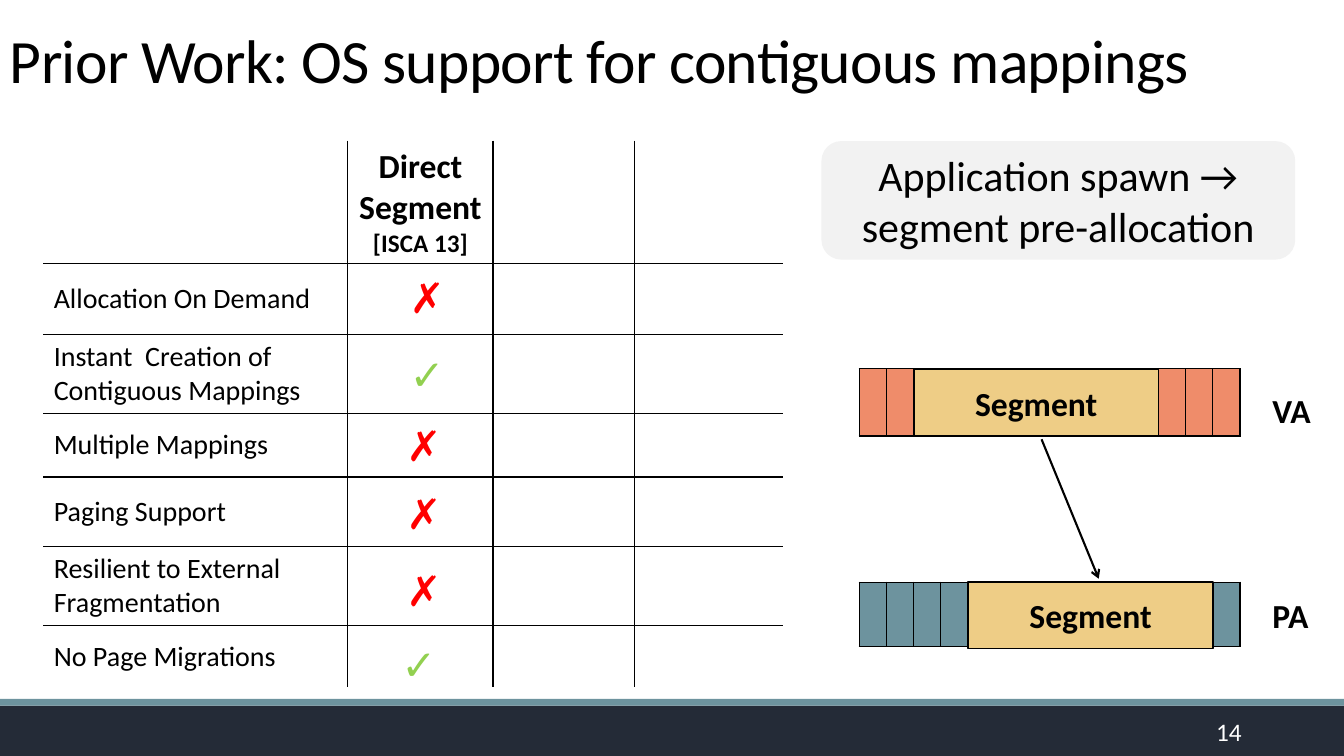
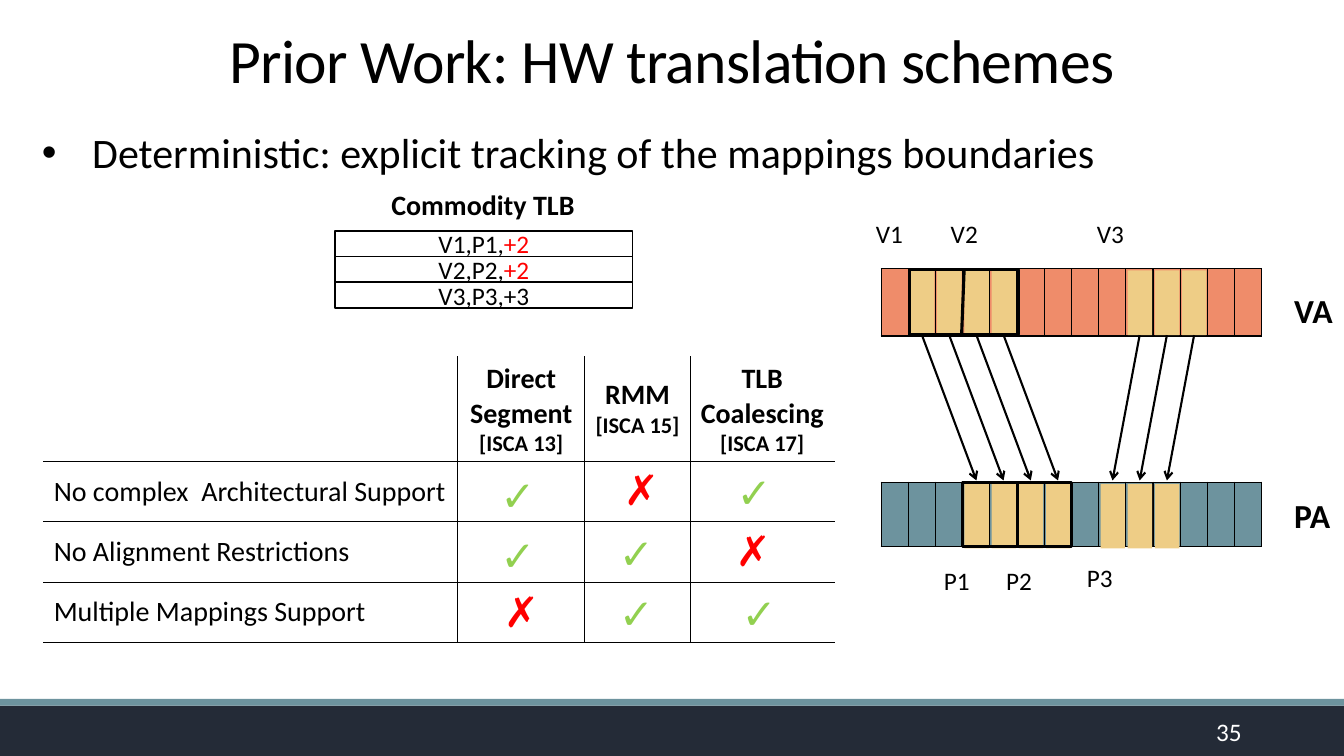
from lxml.etree import SubElement
from pptx import Presentation
from pptx.dml.color import RGBColor
from pptx.enum.shapes import MSO_CONNECTOR, MSO_SHAPE
from pptx.enum.text import MSO_ANCHOR, PP_ALIGN
from pptx.oxml.ns import qn
from pptx.util import Emu, Pt

# Grid: 160 columns by 90 rows cover the slide
COLS, ROWS, UNIT = 160, 90, 76200

BLACK = RGBColor(0x00, 0x00, 0x00)
WHITE = RGBColor(0xFF, 0xFF, 0xFF)
NAVY = RGBColor(0x24, 0x2B, 0x37)
TEAL = RGBColor(0x6D, 0x93, 0x9E)
ORANGE = RGBColor(0xEF, 0x8C, 0x6A)
GOLD = RGBColor(0xEE, 0xCD, 0x86)
GREY = RGBColor(0xF2, 0xF2, 0xF2)
RED = RGBColor(0xFF, 0x00, 0x00)
GREEN = RGBColor(0x92, 0xD0, 0x50)

# Marks: colour and box width
YES, NO = "✓", "✗"
MARKS = {YES: (GREEN, 6.4), NO: (RED, 5.6)}

# Address strips: page cells, heights and distance between the two strips
PAGES, PAGE_W = 14, 3.24
VA_H, PA_H, PA_DROP = 8, 7.7, 25.4


def grid(*lengths):
    return [Emu(round(n * UNIT)) for n in lengths]


# Text
def put_text(tf, paras, align=PP_ALIGN.LEFT, anchor=MSO_ANCHOR.TOP, **fmt):
    """Each paragraph is a string or a list of (text, format) runs."""
    tf.vertical_anchor = anchor
    for i, runs in enumerate(paras):
        p = tf.paragraphs[0] if i == 0 else tf.add_paragraph()
        p.alignment = align
        for text, extra in [(runs, {})] if isinstance(runs, str) else runs:
            for n, line in enumerate(text.split("\n")):
                if n:
                    p.add_line_break()
                if line:
                    add_run(p, line, {**fmt, **extra})


def add_run(p, text, fmt):
    r = p.add_run()
    r.text = text
    look = {"name": "Calibri", "size": 18, "color": BLACK, **fmt}
    r.font.color.rgb = look.pop("color")
    look["size"] = Pt(look["size"])
    for key, value in look.items():
        setattr(r.font, key, value)


def add_text(s, box, paras, wrap=False, **fmt):
    tf = s.shapes.add_textbox(*grid(*box)).text_frame
    tf.word_wrap = wrap
    put_text(tf, paras, **fmt)
    return tf


def add_marks(s, marks):
    for mark, left, top in marks:
        color, width = MARKS[mark]
        add_text(s, (left, top, width, 7.3), [mark], size=30, color=color)


# Shapes and lines
def add_box(s, box, fill=None, line=None, paras=(), kind=MSO_SHAPE.RECTANGLE, **fmt):
    sp = s.shapes.add_shape(kind, *grid(*box))
    sp.shadow.inherit = False
    if fill is None:
        sp.fill.background()
    else:
        sp.fill.solid()
        sp.fill.fore_color.rgb = fill
    if line is None:
        sp.line.fill.background()
    else:
        sp.line.color.rgb = BLACK
        sp.line.width = Pt(line)
    put_text(sp.text_frame, paras, PP_ALIGN.CENTER, MSO_ANCHOR.MIDDLE, **fmt)


def add_line(s, start, end, width=1.5, arrow=True):
    c = s.shapes.add_connector(MSO_CONNECTOR.STRAIGHT, *grid(*start, *end))
    c.line.color.rgb = BLACK
    c.line.width = Pt(width)
    if arrow:
        SubElement(c.line._get_or_add_ln(), qn("a:tailEnd"), type="arrow")
    SubElement(c._element.spPr, qn("a:effectLst"))


# Tables
def border(cell, sides):
    tcPr = cell._tc.get_or_add_tcPr()
    for side in "LRTB":
        if side in sides:
            ln = SubElement(tcPr, qn(f"a:ln{side}"), w=str(Pt(1)))
            fill = SubElement(ln, qn("a:solidFill"))
            SubElement(fill, qn("a:srgbClr"), val=str(BLACK))


def new_table(s, x, y, widths, heights):
    size = sum(widths), sum(heights)
    table = s.shapes.add_table(len(heights), len(widths), *grid(x, y, *size)).table
    table.first_row = table.horz_banding = False
    for col, width in zip(table.columns, grid(*widths)):
        col.width = width
    for row, height in zip(table.rows, grid(*heights)):
        row.height = height
    return table


def comparison(s, x, y, widths, heights, heads, labels, head_size, closed):
    """Each head is a list of paragraphs; closed tables have a bottom line."""
    table = new_table(s, x, y, widths, heights)
    last_row, last_col = len(heights) - 1, len(widths) - 1
    for i in range(last_row + 1):
        for j in range(last_col + 1):
            cell = table.cell(i, j)
            sides = "L" * (j > 0) + "R" * (j < last_col) + "T" * (i > 0)
            border(cell, sides + "B" * (closed or i < last_row))
            cell.fill.background()
            cell.vertical_anchor = MSO_ANCHOR.MIDDLE
    for j, head in enumerate(heads, 1):
        cell = table.cell(0, j)
        cell.margin_left = cell.margin_right = 0
        put_text(cell.text_frame, head, PP_ALIGN.CENTER, size=head_size, bold=True)
    for i, label in enumerate(labels, 1):
        put_text(table.cell(i, 0).text_frame, [label], size=20)


# Virtual and physical address strips
def strip(s, x, y, height, color):
    table = new_table(s, x, y, [PAGE_W] * PAGES, [height])
    for cell in table.rows[0].cells:
        border(cell, "LRTB")
        cell.fill.solid()
        cell.fill.fore_color.rgb = color


def address_spaces(s, x, y, mapping):
    """Mapping takes virtual page numbers to physical ones."""
    bands = (("VA", y, VA_H, ORANGE, 1.9, mapping.keys()),
             ("PA", y + PA_DROP, PA_H, TEAL, 0.9, mapping.values()))
    for name, top, height, color, drop, mapped in bands:
        strip(s, x, top, height, color)
        add_text(s, (x + 48, top + drop, 7, 6), [name], size=24, bold=True)
        for page in mapped:
            add_box(s, (x + page * PAGE_W + 0.2, top + 0.2, 2.9, 7.7), GOLD)
    for va, pa in mapping.items():
        add_line(s, (x + (va + 0.5) * PAGE_W, y + VA_H - 0.1),
                 (x + (pa + 0.5) * PAGE_W, y + PA_DROP - 0.2))


# Parts that all slides share
def new_slide(prs, title, number, align):
    s = prs.slides.add_slide(prs.slide_layouts[6])
    add_box(s, (0, 84, COLS, 6), NAVY)
    add_box(s, (0, 83.2, COLS, 0.8), TEAL)
    tf = add_text(s, (0, 0.1, COLS, 11.9), [title], wrap=True, align=align,
                  anchor=MSO_ANCHOR.BOTTOM, size=44)
    p = tf.paragraphs[0]
    p.line_spacing = 0.85
    p.runs[0].font._element.set("spc", "-50")
    add_text(s, (131.8, 84.7, 17.2, 4.8), [str(number)], wrap=True,
             align=PP_ALIGN.RIGHT, anchor=MSO_ANCHOR.MIDDLE, color=WHITE)
    return s


def os_support_slide(prs):
    s = new_slide(prs, "Prior Work: OS support for contiguous mappings", 14, PP_ALIGN.LEFT)
    comparison(
        s, 5.2, 16.8, [36.2, 17.3, 16.8, 17.7], [14.6, 8.4, 9.4, 7.6, 8.3, 9.4, 7.4],
        [["Direct", "Segment", [("[ISCA 13]", {"size": 18})]]],
        ["Allocation On Demand",
         "Instant  Creation of Contiguous Mappings",
         "Multiple Mappings",
         "Paging Support",
         "Resilient to External Fragmentation",
         "No Page Migrations"],
        head_size=24, closed=False)
    add_marks(s, [(NO, 47.6, 31.7), (YES, 47.6, 40.9), (NO, 47.2, 49.3),
                  (NO, 47.2, 57.5), (NO, 47.2, 66.6), (YES, 46.6, 75.4)])
    add_box(s, (97.8, 16.8, 56.4, 14.1), GREY, kind=MSO_SHAPE.ROUNDED_RECTANGLE,
            paras=["Application spawn →\nsegment pre-allocation"], size=30)

    # One segment of nine pages
    x, y = 102.3, 43.9
    address_spaces(s, x, y, {})
    for first, top in ((2, y + 0.1), (4, y + PA_DROP)):
        add_box(s, (x + first * PAGE_W, top, 9 * PAGE_W, 7.9), GOLD, 1.25,
                ["Segment"], size=24, bold=True)
    add_line(s, (124, 52.3), (130.8, 68.9))


def hw_schemes_slide(prs):
    s = new_slide(prs, "Prior Work: HW translation schemes", 35, PP_ALIGN.CENTER)
    tf = add_text(s, (3.8, 14.5, 155, 7.3),
                  ["Deterministic: explicit tracking of the mappings boundaries"],
                  wrap=True, size=30)
    pPr = tf.paragraphs[0]._p.get_or_add_pPr()
    for key, value in {"marL": 6, "indent": -6}.items():
        pPr.set(key, str(value * UNIT))
    SubElement(pPr, qn("a:buFont"), typeface="Arial")
    SubElement(pPr, qn("a:buChar"), char="•")

    # TLB entries
    add_text(s, (45.4, 21.7, 24.5, 5.3), ["Commodity TLB"], size=20, bold=True)
    red = {"color": RED}
    entries = [[("V1,P1,", {}), ("+2", red)], [("V2,P2,", {}), ("+2", red)], "V3,P3,+3"]
    for i, entry in enumerate(entries):
        add_box(s, (39.9, 27.5 + 3.05 * i, 35.4, 3.05), WHITE, 1.25, [entry])

    small = {"size": 16}
    comparison(
        s, 5.2, 42.5, [49.3, 15.1, 12.6, 17.1], [12.4, 7.2, 7.2, 7.2],
        [["Direct", [("Segment\n", {}), ("[ISCA 13]", small)]],
         [[("RMM\n", {}), ("[ISCA 15]", small)]],
         [[("TLB Coalescing\n", {}), ("[ISCA 17]", small)]]],
        ["No complex  Architectural Support",
         "No Alignment Restrictions",
         "Multiple Mappings Support"],
        head_size=20, closed=True)
    add_marks(s, [(YES, 58.4, 55.3), (NO, 73.1, 54.6), (YES, 86.5, 55),
                  (YES, 58.4, 62.5), (YES, 72.5, 62.2), (NO, 86.4, 61.9),
                  (NO, 58.8, 69.1), (YES, 72.5, 69.4), (YES, 87.1, 69.4)])

    # Page mappings, with two aligned pairs framed
    x, y = 104.9, 32
    address_spaces(s, x, y, {1: 3, 2: 4, 3: 5, 4: 6, 9: 8, 10: 9, 11: 10})
    for first, top, slant in ((1.05, y + 0.1, 0.3), (3, y + PA_DROP, 0)):
        left = x + first * PAGE_W
        add_box(s, (left, top, 4 * PAGE_W, PA_H), line=2.25)
        middle = left + 2 * PAGE_W
        add_line(s, (middle, top), (middle - slant, top + PA_H), 2.25, arrow=False)
    for name, left, top in (("V1", 103.1, 25.4), ("V2", 112, 25.4), ("V3", 129.4, 25.4),
                            ("P1", 111.2, 66.7), ("P2", 118.6, 66.7), ("P3", 128.2, 66.4)):
        add_text(s, (left, top, 5.6, 4.8), [name])


def main():
    prs = Presentation()
    prs.slide_width, prs.slide_height = grid(COLS, ROWS)
    os_support_slide(prs)
    hw_schemes_slide(prs)
    prs.save("out.pptx")


if __name__ == "__main__":
    main()
